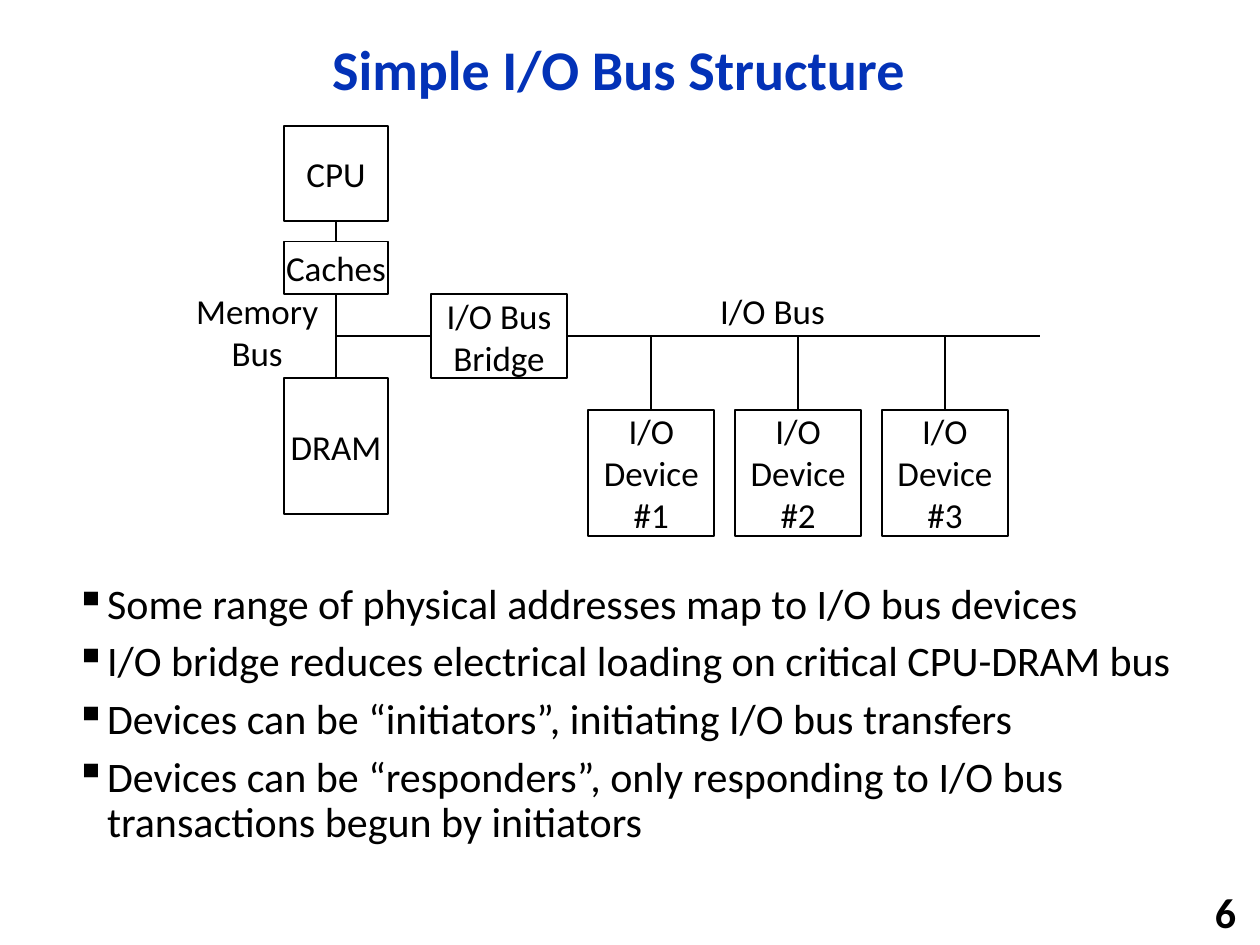
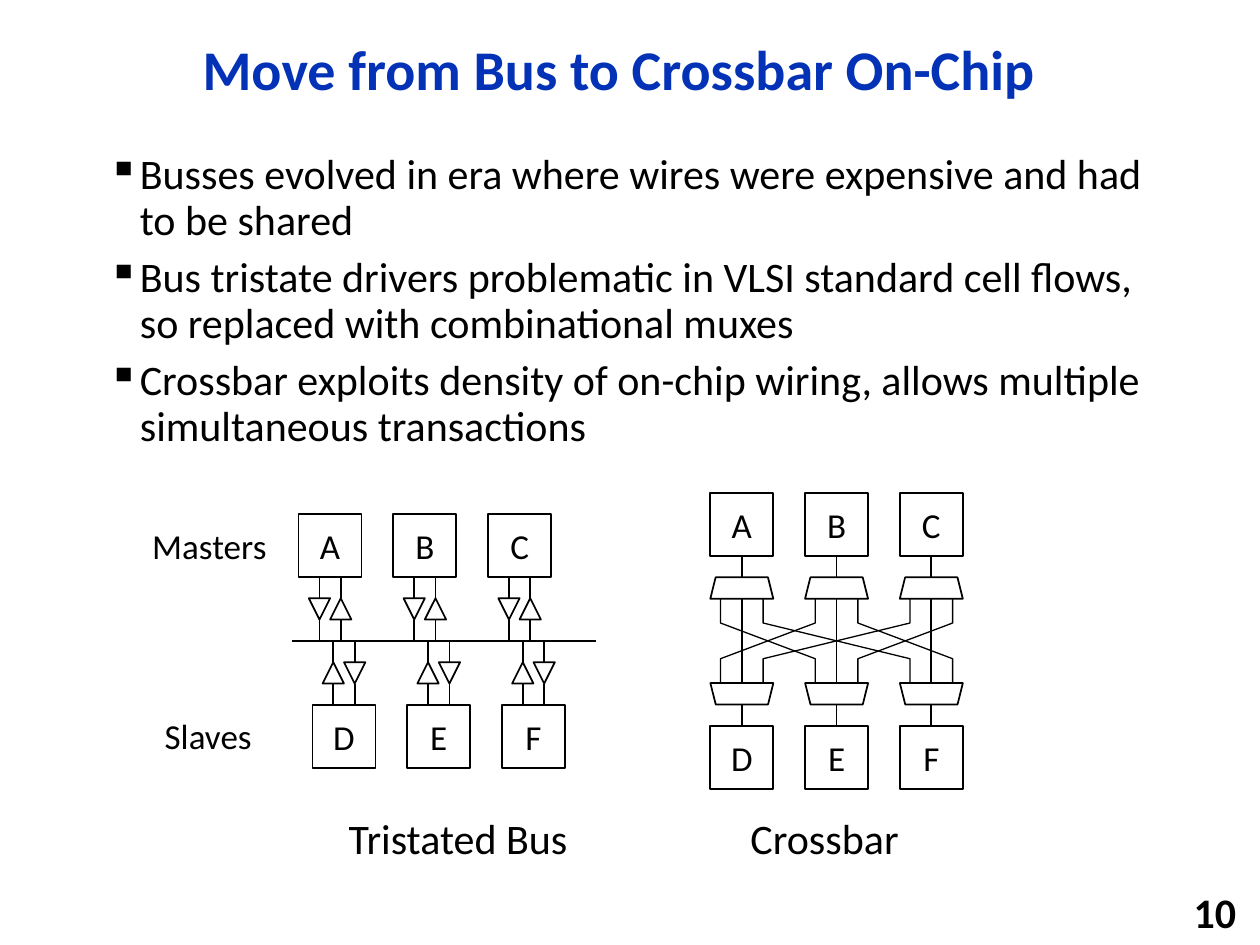
"""Builds two slides on I/O bus structure and the move to on-chip crossbars."""
from itertools import permutations

from lxml import etree
from pptx import Presentation
from pptx import util as u
from pptx.dml.color import RGBColor
from pptx.enum import shapes, text
from pptx.oxml.ns import qn

HUES = {"title": "0332B7", "ink": "000000", "paper": "FFFFFF"}
FONT = "Calibri"
KIND = shapes.MSO_SHAPE
LEFT, MID, RIGHT = text.PP_ALIGN.LEFT, text.PP_ALIGN.CENTER, text.PP_ALIGN.RIGHT

SIMPLE = {
    "title": "Simple I/O Bus Structure",
    "page": "6",
    "area": (1.27, 11.63, 23.06, 5.99),
    "points": [
        "Some range of physical addresses map to I/O bus devices",
        "I/O bridge reduces electrical loading on critical CPU-DRAM bus",
        "Devices can be “initiators”, initiating I/O bus transfers",
        "Devices can be “responders”, only responding to I/O bus transactions begun by initiators",
    ],
}
CROSS = {
    "title": "Move from Bus to Crossbar On-Chip",
    "page": "10",
    "area": (1.93, 2.97, 21.34, 7.19),
    "points": [
        "Busses evolved in era where wires were expensive and had to be shared",
        "Bus tristate drivers problematic in VLSI standard cell flows, so replaced with combinational muxes",
        "Crossbar exploits density of on-chip wiring, allows multiple simultaneous transactions",
    ],
}
PARTS = {
    "CPU": (5.72, 2.54, 2.11, 1.91),
    "Caches": (5.72, 4.87, 2.11, 1.06),
    "DRAM": (5.72, 7.62, 2.11, 2.75),
    "I/O Bus Bridge": (8.69, 5.93, 2.74, 1.69),
}
DEVICES = ["I/O Device #1", "I/O Device #2", "I/O Device #3"]
BUSES = [("Memory Bus", (3.38, 5.72, 3.61, 1.96)),
         ("I/O Bus", (13.77, 5.72, 3.61, 1.12))]
ROWS = [("ABC", -1), ("DEF", 1)]
NOTES = [("Tristated Bus", (6.78, 16.26, 5.05, 1.27), 24),
         ("Crossbar", (14.88, 16.26, 3.53, 1.27), 24),
         ("Masters", (2.82, 10.44, 2.84, 1.12), 20),
         ("Slaves", (3.07, 14.27, 2.29, 1.12), 20)]
SIDE, PITCH, STEP = 1.27, 1.91, 0.43


def hue(name):
    return RGBColor.from_string(HUES[name])


def cms(vals):
    return [u.Cm(val) for val in vals]


def write(para, words, size, align=LEFT, bold=False, tone="ink"):
    para.alignment = align
    run = para.add_run()
    run.text = words
    font = run.font
    font.name, font.size, font.bold = FONT, u.Pt(size), bold
    font.color.rgb = hue(tone)


def frame(slide, area, anchor=text.MSO_ANCHOR.TOP, wrap=True):
    body = slide.shapes.add_textbox(*cms(area)).text_frame
    body.word_wrap = wrap
    body.vertical_anchor = anchor
    return body


def style(item):
    item.shadow.inherit = False
    item.line.color.rgb = hue("ink")
    item.line.width = u.Pt(1)
    item.fill.solid()
    item.fill.fore_color.rgb = hue("paper")


def block(slide, area, words="", kind=KIND.RECTANGLE, turn=0):
    item = slide.shapes.add_shape(kind, *cms(area))
    style(item)
    item.rotation = turn
    if words:
        body = item.text_frame
        body.word_wrap = True
        body.vertical_anchor = text.MSO_ANCHOR.MIDDLE
        body.margin_left = body.margin_right = body.margin_top = body.margin_bottom = 0
        write(body.paragraphs[0], words, 20, MID)
    return item


def wire(slide, start, end, begin=None, finish=None):
    line = slide.shapes.add_connector(shapes.MSO_CONNECTOR.STRAIGHT, *cms(start + end))
    line.line.color.rgb = hue("ink")
    line.line.width = u.Pt(1)
    etree.SubElement(line._element.spPr, qn("a:effectLst"))
    if begin:
        line.begin_connect(*begin)
    if finish:
        line.end_connect(*finish)


def path(slide, spots):
    first, *rest = [tuple(cms(spot)) for spot in spots]
    build = slide.shapes.build_freeform(*first)
    build.add_line_segments(rest, close=False)
    item = build.convert_to_shape()
    style(item)
    item.fill.background()
    item.line.width = u.Pt(0.75)


def base(deck, info):
    slide = deck.slides.add_slide(deck.slide_layouts[6])
    middle = text.MSO_ANCHOR.MIDDLE
    head = frame(slide, (2.34, 0.43, 20.27, 2.06), middle).paragraphs[0]
    head.line_spacing = 0.9
    write(head, info["title"], 32, MID, True, "title")
    body = frame(slide, info["area"])
    for num, point in enumerate(info["points"]):
        para = body.add_paragraph() if num else body.paragraphs[0]
        props = para._p.get_or_add_pPr()
        props.set("marL", str(u.Cm(0.64)))
        props.set("indent", str(u.Cm(-0.64)))
        etree.SubElement(props, qn("a:buChar"), char="▪")
        para.line_spacing = 0.9
        para.space_before = u.Pt(7 if num else 0)
        write(para, point, 24)
    foot = frame(slide, (19.89, 17.98, 5.28, 0.81), middle)
    write(foot.paragraphs[0], info["page"], 24, RIGHT, True)
    return slide


def simple(slide):
    cpu, cache, dram, bridge = [block(slide, area, name) for name, area in PARTS.items()]
    left, top, wide, high = PARTS["I/O Bus Bridge"]
    level = top + high / 2
    stem = PARTS["CPU"][0] + PARTS["CPU"][2] / 2
    for upper, lower in ((cpu, cache), (cache, dram)):
        wire(slide, (stem, level), (stem, level), (upper, 2), (lower, 0))
    wire(slide, (stem, level), (left, level), finish=(bridge, 1))
    wire(slide, (left + wide, level), (20.96, level), begin=(bridge, 3))
    for num, name in enumerate(DEVICES):
        x, size = 11.86 + num * 2.96, 2.54
        unit = block(slide, (x, 8.26, size, size), name)
        mid = x + size / 2
        wire(slide, (mid, 8.26), (mid, level), begin=(unit, 0))
    for name, area in BUSES:
        write(frame(slide, area).paragraphs[0], name, 20, MID)


def box(slide, name, x, level, gap, side):
    edge = level + side * gap
    return block(slide, (x, min(edge, edge + side * SIDE), SIDE, SIDE), name)


def shared(slide, level):
    wire(slide, (5.89, level), (12.01, level))
    for (names, side), start in zip(ROWS, (6.02, 6.3)):
        near, far, edge = [level + side * STEP * num for num in (1, 2, 3)]
        for num, name in enumerate(names):
            x = start + num * PITCH
            box(slide, name, x, level, 3 * STEP, side)
            for way in (-1, 1):
                mid = x + SIDE / 2 + way * STEP / 2
                wire(slide, (mid, level), (mid, near))
                wire(slide, (mid, far), (mid, edge))
                block(slide, (mid - STEP / 2, min(near, far), STEP, STEP),
                      kind=KIND.ISOSCELES_TRIANGLE, turn=180 if way == side else 0)


def crossbar(slide, level):
    start, near = 14.32, 0.85
    mids = [start + SIDE / 2 + num * PITCH for num in range(3)]
    for names, side in ROWS:
        far = level + side * (near + STEP)
        for name, mid in zip(names, mids):
            x = mid - SIDE / 2
            unit = box(slide, name, x, level, near + 2 * STEP, side)
            block(slide, (x, min(far, far - side * STEP), SIDE, STEP),
                  kind=KIND.TRAPEZOID, turn=180 if side > 0 else 0)
            wire(slide, (mid, far), (mid, far), begin=(unit, 2 if side < 0 else 0), )
    for mid in mids:
        wire(slide, (mid, level - near), (mid, level + near))

    def tap(own, other):
        rest = [num for num in range(3) if num != own]
        return mids[own] + (STEP if rest.index(other) else -STEP)

    for top, low in permutations(range(3), 2):
        one, two = tap(top, low), tap(low, top)
        path(slide, [(one, level - near), (one, level - 0.36),
                     (two, level + 0.36), (two, level + near)])


def main():
    deck = Presentation()
    deck.slide_width, deck.slide_height = cms((25.4, 19.05))
    simple(base(deck, SIMPLE))
    slide = base(deck, CROSS)
    shared(slide, 12.92)
    crossbar(slide, 12.92)
    for words, area, size in NOTES:
        write(frame(slide, area, wrap=False).paragraphs[0], words, size)
    deck.save("out.pptx")


if __name__ == "__main__":
    main()
